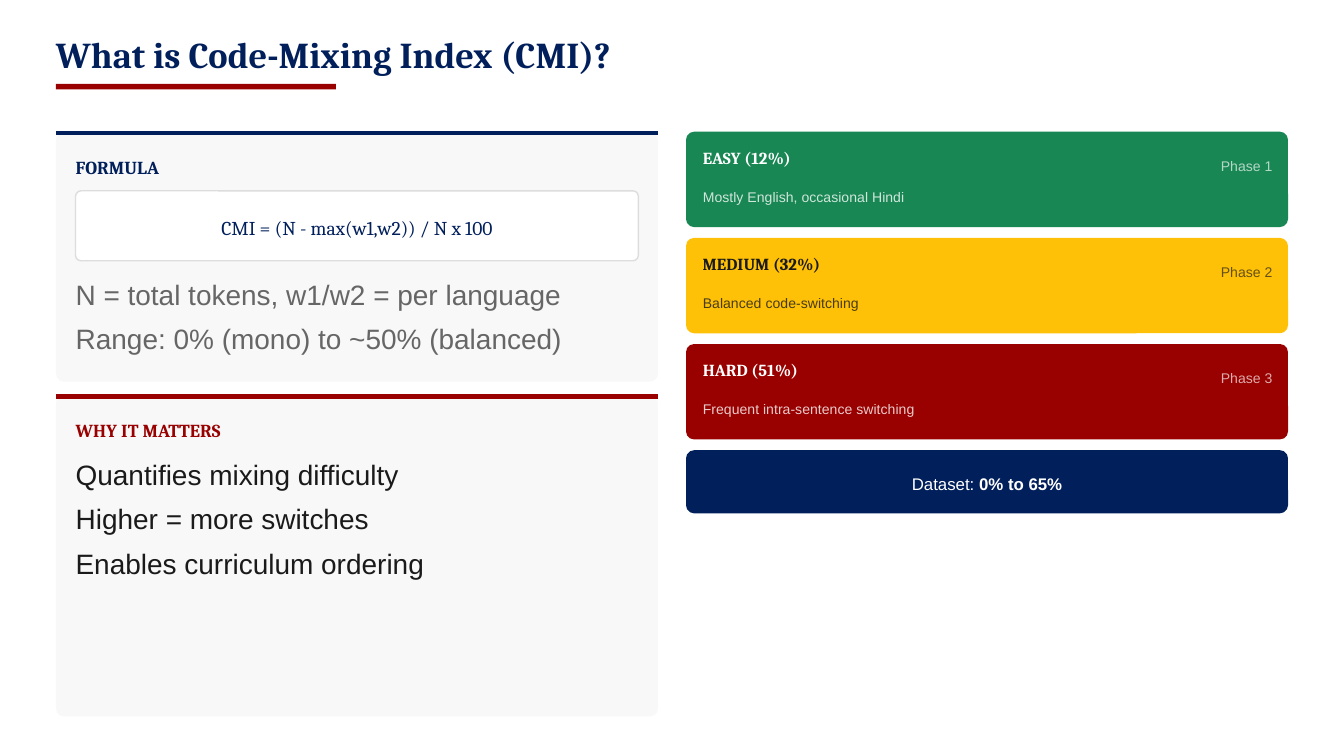
"""Build the slide that explains the Code-Mixing Index."""
from dataclasses import dataclass

from lxml.etree import SubElement
from pptx import Presentation
from pptx.dml.color import RGBColor
from pptx.enum.shapes import MSO_CONNECTOR, MSO_SHAPE
from pptx.enum.text import PP_ALIGN
from pptx.oxml.ns import qn
from pptx.util import Inches, Pt


@dataclass(frozen=True)
class Theme:
    """Colours, fonts and type sizes."""
    navy: str = "011F5B"
    red: str = "990000"
    green: str = "198754"
    amber: str = "FFC107"
    white: str = "FFFFFF"
    panel: str = "F8F8F8"
    border: str = "DDDDDD"
    ink: str = "1A1A1A"
    grey: str = "666666"
    serif: str = "Cambria"
    sans: str = "Arial"
    title: float = 19.5
    body: float = 15
    formula: float = 10.5
    heading: float = 9.8
    label: float = 9
    small: float = 7.5


THEME = Theme()

TITLE = "What is Code-Mixing Index (CMI)?"
FORMULA = "CMI = (N - max(w1,w2)) / N x 100"
PANELS = [
    dict(heading="FORMULA", accent=THEME.navy, colour=THEME.grey, height=1.86,
         body_offset=1.04, formula=FORMULA, after=7.5,
         lines=["N = total tokens, w1/w2 = per language",
                "Range: 0% (mono) to ~50% (balanced)"]),
    dict(heading="WHY IT MATTERS", accent=THEME.red, colour=THEME.ink, height=2.39,
         body_offset=0.42, formula=None, after=6,
         lines=["Quantifies mixing difficulty", "Higher = more switches",
                "Enables curriculum ordering"]),
]
LEVELS = [
    ("EASY (12%)", "Mostly English, occasional Hindi", THEME.green, THEME.white, 0.71),
    ("MEDIUM (32%)", "Balanced code-switching", THEME.amber, THEME.ink, 0.93),
    ("HARD (51%)", "Frequent intra-sentence switching", THEME.red, THEME.white, 0.75),
]
DATASET = [("Dataset: ", False), ("0% to 65%", True)]

WIDTH = 10
HEIGHT = WIDTH * 9 / 16
MARGIN, GUTTER, TOP = WIDTH / 24, WIDTH / 48, 0.98
COLUMN = (WIDTH - 2 * MARGIN - GUTTER) / 2
RIGHT = MARGIN + COLUMN + GUTTER
PANEL_GAP, PANEL_PAD, LINE_STEP = 0.1, GUTTER * 0.7, 24 / 72
CARD_HEIGHT, CARD_STEP, CARD_PAD = 0.71, 0.79, WIDTH / 80
PHASE_WIDTH, DATASET_HEIGHT, RADIUS, TEXT_SLACK = 0.39, 0.47, 0.06, 1.02

deck = Presentation()
deck.slide_width, deck.slide_height = Inches(WIDTH), Inches(HEIGHT)
page = deck.slides.add_slide(deck.slide_layouts[6])


def add_text(content, left, top, width, height, *, size, colour, font=THEME.sans,
             bold=False, align=PP_ALIGN.LEFT, leading=1.4, after=3, opacity=100, wrap=True):
    """Add one paragraph; content is a string or a list of (text, bold) spans."""
    box = page.shapes.add_textbox(*map(Inches, (left, top, width, height)))
    frame = box.text_frame
    frame.word_wrap = wrap
    frame.margin_left = frame.margin_right = frame.margin_top = frame.margin_bottom = 0
    para = frame.paragraphs[0]
    para.alignment = align
    para.line_spacing = Pt(round(size * leading, 1))
    para.space_after = Pt(after)
    spans = [(content, bold)] if isinstance(content, str) else content
    for words, heavy in spans:
        span = para.add_run()
        span.text = words
        span.font.size, span.font.name, span.font.bold = Pt(size), font, heavy
        span.font.color.rgb = RGBColor.from_string(colour)
        if opacity < 100:
            tint = span.font.fill._xPr.find(".//" + qn("a:srgbClr"))
            SubElement(tint, qn("a:alpha"), val=str(opacity * 1000))


def add_block(left, top, width, height, fill, radius=RADIUS, border=None):
    """Add a filled rectangle, rounded when it has a radius."""
    kind = MSO_SHAPE.ROUNDED_RECTANGLE if radius else MSO_SHAPE.RECTANGLE
    block = page.shapes.add_shape(kind, *map(Inches, (left, top, width, height)))
    block.shadow.inherit = False
    block.fill.solid()
    block.fill.fore_color.rgb = RGBColor.from_string(fill)
    if radius:
        block.adjustments[0] = radius / height
    if border:
        block.line.color.rgb = RGBColor.from_string(border)
        block.line.width = Pt(0.75)
    else:
        block.line.fill.background()


def add_rule(left, top, width, colour):
    """Add a horizontal accent line."""
    rule = page.shapes.add_connector(
        MSO_CONNECTOR.STRAIGHT, *map(Inches, (left, top, left + width, top)))
    rule.line.color.rgb = RGBColor.from_string(colour)
    rule.line.width = Pt(2.25)
    SubElement(rule._element.spPr, qn("a:effectLst"))


def add_panel(top, heading, accent, colour, height, body_offset, formula, after, lines):
    """Add a grey panel with a heading, an optional formula and body lines."""
    left, inner = MARGIN + PANEL_PAD, COLUMN - 2 * PANEL_PAD
    add_block(MARGIN, top, COLUMN, height, THEME.panel)
    add_rule(MARGIN, top + 0.01, COLUMN, accent)
    add_text(heading, left, top + 0.18, inner * TEXT_SLACK, 0.16, size=THEME.heading,
             colour=accent, font=THEME.serif, bold=True, leading=1.2, after=after)
    if formula:
        add_block(left, top + 0.44, inner, 0.52, THEME.white, 0.04, THEME.border)
        add_text(formula, left + 0.07, top + 0.6, inner - 0.14, 0.2, size=THEME.formula,
                 colour=accent, font=THEME.serif, align=PP_ALIGN.CENTER)
    for row, line in enumerate(lines):
        add_text(line, left, top + body_offset + row * LINE_STEP, inner * TEXT_SLACK, 0.29,
                 size=THEME.body, colour=colour)


def add_level(row, name, detail, fill, colour, name_width):
    """Add one difficulty card."""
    top, left = TOP + row * CARD_STEP, RIGHT + CARD_PAD
    phase_left = RIGHT + COLUMN - PHASE_WIDTH - 0.11
    add_block(RIGHT, top, COLUMN, CARD_HEIGHT, fill)
    add_text(name, left, top + 0.12, name_width, 0.23, size=THEME.label, colour=colour,
             font=THEME.serif, bold=True, leading=1.2, after=0)
    add_text(f"Phase {row + 1}", phase_left, top + 0.17, PHASE_WIDTH, 0.15,
             size=THEME.small, colour=colour, opacity=67, wrap=False)
    add_text(detail, left, top + 0.4, (COLUMN - 2 * CARD_PAD) * TEXT_SLACK, 0.15,
             size=THEME.small, colour=colour, opacity=80)


add_text(TITLE, MARGIN, 0.29, 5.16, 0.27, size=THEME.title, colour=THEME.navy,
         font=THEME.serif, bold=True, leading=1, after=0)
add_block(MARGIN, HEIGHT / 9, MARGIN * 5, 0.04, THEME.red, radius=0)

panel_top = TOP
for panel in PANELS:
    add_panel(panel_top, **panel)
    panel_top += panel["height"] + PANEL_GAP

for index, level in enumerate(LEVELS):
    add_level(index, *level)

dataset_top = TOP + len(LEVELS) * CARD_STEP
add_block(RIGHT, dataset_top, COLUMN, DATASET_HEIGHT, THEME.navy)
add_text(DATASET, RIGHT + 0.06, dataset_top + 0.15, COLUMN - 0.12, 0.17,
         size=THEME.label, colour=THEME.white, align=PP_ALIGN.CENTER)

deck.save("out.pptx")
